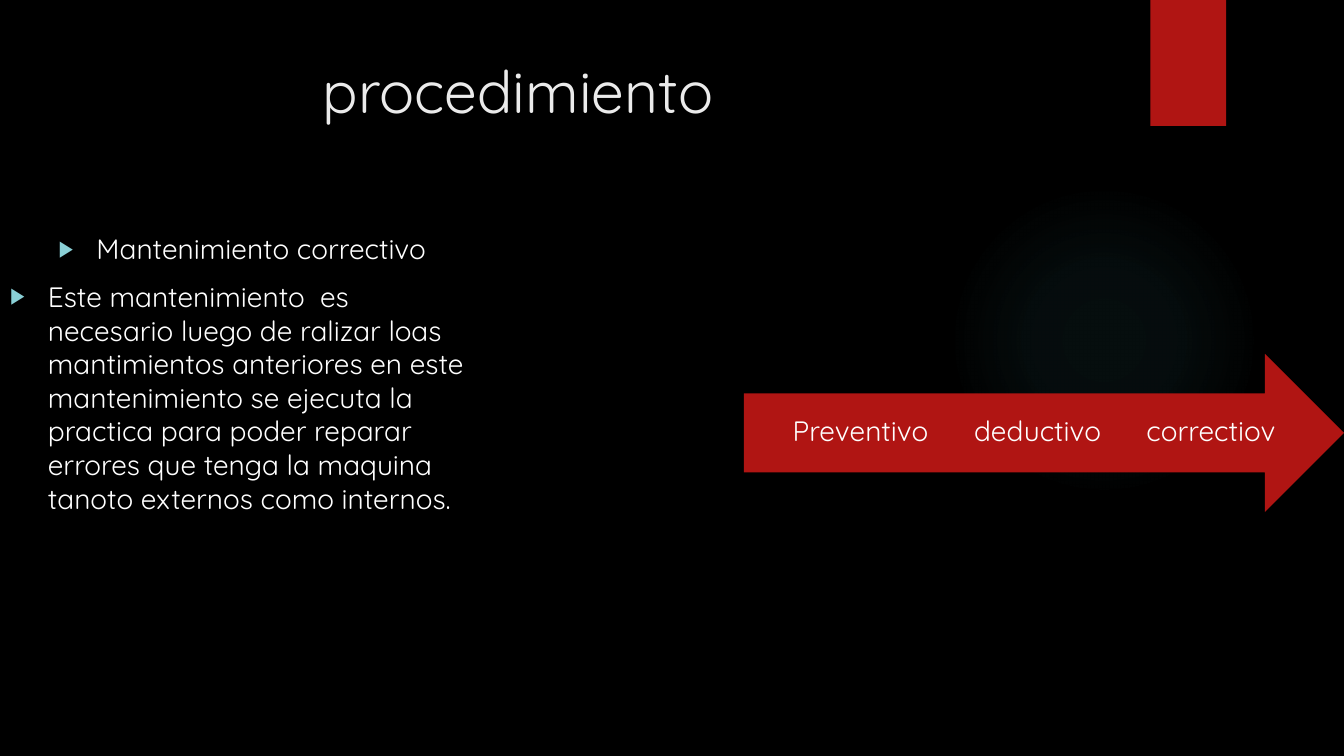
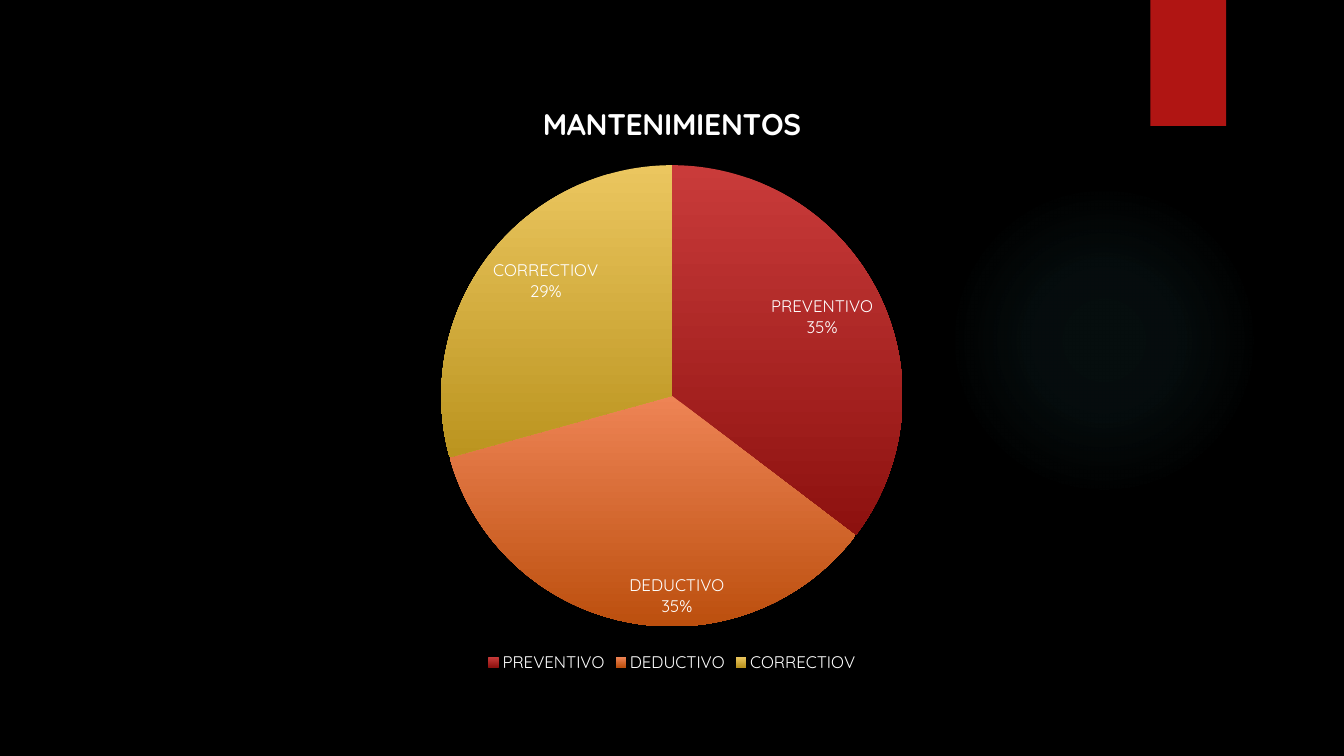
import collections

import pptx
import pptx.chart.data
import pptx.dml.color
import pptx.enum.chart
import pptx.enum.shapes
import pptx.enum.text
import pptx.oxml
import pptx.oxml.ns
import pptx.util

Pt = pptx.util.Pt
ALIGN = pptx.enum.text.PP_ALIGN
ANCHOR = pptx.enum.text.MSO_ANCHOR
SHAPE = pptx.enum.shapes.MSO_SHAPE
Box = collections.namedtuple("Box", "left top width height")

FONT = "Quicksand"
COLORS = {
    "background": "000000",
    "ribbon": "B01513",
    "glow": "50B9C1",
    "bullet": "8AD0D6",
    "title": "EBEBEB",
    "text": "FFFFFF",
}
GLOW_STOPS = [(0, 7), (36, 6), (69, 0)]
SLICES = [
    ("PREVENTIVO", 35, "C93B3A", "8D110F"),
    ("DEDUCTIVO", 35, "EE8455", "BC4F0E"),
    ("CORRECTIOV", 29, "EBC65F", "BB941F"),
]


def rgb(value):
    return pptx.dml.color.RGBColor.from_string(value)


def place(item, box):
    item.left, item.top, item.width, item.height = (Pt(length) for length in box)


def style_font(font, size, color="text", bold=False):
    font.name = FONT
    font.size = Pt(size)
    font.bold = bold
    font.color.rgb = rgb(COLORS[color])


def add_plain_shape(page, kind, box):
    shape = page.shapes.add_shape(kind, *(Pt(length) for length in box))
    shape.shadow.inherit = False
    shape.line.fill.background()
    shape.fill.solid()
    shape.fill.fore_color.rgb = rgb(COLORS["ribbon"])
    return shape


def add_glow(page, box):
    glow = add_plain_shape(page, SHAPE.OVAL, box)
    stops = "".join(
        f'<a:gs pos="{position * 1000}"><a:srgbClr val="{COLORS["glow"]}">'
        f'<a:alpha val="{opacity * 1000}"/></a:srgbClr></a:gs>'
        for position, opacity in GLOW_STOPS
    )
    gradient = pptx.oxml.parse_xml(
        f'<a:gradFill {pptx.oxml.ns.nsdecls("a")}><a:gsLst>{stops}</a:gsLst>'
        '<a:path path="circle"><a:fillToRect l="50000" t="50000" r="50000" b="50000"/>'
        "</a:path></a:gradFill>"
    )
    properties = glow._element.spPr
    properties.replace(properties.find(pptx.oxml.ns.qn("a:solidFill")), gradient)


def add_page(deck, layout_index):
    page = deck.slides.add_slide(deck.slide_layouts[layout_index])
    add_glow(page, Box(677.5, 131.8, 221.8, 221.8))
    add_plain_shape(page, SHAPE.RECTANGLE, Box(821.8, 0, 54, 90))
    return page


def fill_title(page, box, text):
    title = page.shapes.title
    place(title, box)
    frame = title.text_frame
    frame.text = text
    frame.vertical_anchor = ANCHOR.TOP
    frame.auto_size = pptx.enum.text.MSO_AUTO_SIZE.NONE
    para = frame.paragraphs[0]
    para.alignment = ALIGN.CENTER
    style_font(para.font, 42, "title")


def add_bullet(para):
    properties = para._p.get_or_add_pPr()
    properties.set("marL", str(Pt(27)))
    properties.set("indent", str(-Pt(27)))
    for tag, value in (
        ("buClr", f'><a:srgbClr val="{COLORS["bullet"]}"/></a:buClr>'),
        ("buSzPct", ' val="80000"/>'),
        ("buChar", ' char="▶"/>'),
    ):
        properties.append(
            pptx.oxml.parse_xml(f'<a:{tag} {pptx.oxml.ns.nsdecls("a")}{value}')
        )


def fill_list(page, box, entries):
    body = page.placeholders[1]
    place(body, box)
    frame = body.text_frame
    frame.text = "\n".join(text for text, _ in entries)
    frame.auto_size = pptx.enum.text.MSO_AUTO_SIZE.NONE
    for para, (_, alignment) in zip(frame.paragraphs, entries):
        add_bullet(para)
        para.alignment = alignment
        para.space_before = Pt(10)
        para.line_spacing = Pt(24)
        style_font(para.font, 20)


def add_process_arrow(page, box, steps):
    add_plain_shape(page, SHAPE.RIGHT_ARROW, box)
    label_width, pitch = 103, 123.8
    for index, step in enumerate(steps):
        label = page.shapes.add_textbox(
            Pt(box.left + 34.5 + index * pitch),
            Pt(box.top + box.height / 4),
            Pt(label_width),
            Pt(box.height / 2),
        )
        frame = label.text_frame
        frame.word_wrap = True
        frame.vertical_anchor = ANCHOR.MIDDLE
        frame.margin_left = frame.margin_right = 0
        frame.margin_top = frame.margin_bottom = Pt(16)
        frame.text = step
        para = frame.paragraphs[0]
        para.alignment = ALIGN.CENTER
        para.line_spacing = 0.9
        style_font(para.font, 20)


def style_labels(labels):
    labels.show_value = False
    labels.show_category_name = True
    labels.show_percentage = True
    labels.number_format = "0%"
    labels.number_format_is_linked = False
    labels.position = pptx.enum.chart.XL_LABEL_POSITION.INSIDE_END
    style_font(labels.font, 12)
    separator = pptx.oxml.parse_xml(
        f'<c:separator {pptx.oxml.ns.nsdecls("c")}>\n</c:separator>'
    )
    labels._element.find(pptx.oxml.ns.qn("c:showBubbleSize")).addnext(separator)


def add_pie(page, box, title, slices):
    data = pptx.chart.data.CategoryChartData()
    data.categories = [name for name, *_ in slices]
    data.add_series(title, [value for _, value, *_ in slices])
    chart = page.shapes.add_chart(
        pptx.enum.chart.XL_CHART_TYPE.PIE, *(Pt(length) for length in box), data
    ).chart
    style_font(chart.font, 10)

    chart.has_title = True
    heading = chart.chart_title.text_frame
    heading.text = title
    style_font(heading.paragraphs[0].font, 21.3, bold=True)
    chart.chart_title.include_in_layout = False

    chart.has_legend = True
    chart.legend.position = pptx.enum.chart.XL_LEGEND_POSITION.BOTTOM
    chart.legend.include_in_layout = False
    style_font(chart.legend.font, 12)

    plot = chart.plots[0]
    plot.vary_by_categories = True
    series = plot.series[0]
    for index, (_, _, *shades) in enumerate(slices):
        look = series.points[index].format
        look.line.fill.background()
        look.fill.gradient()
        look.fill.gradient_angle = 270
        for stop, shade in zip(look.fill.gradient_stops, shades):
            stop.color.rgb = rgb(shade)
    style_labels(series.data_labels)


def build_procedure(deck):
    page = add_page(deck, 1)
    fill_title(page, Box(0, 35.3, 740, 110), "procedimiento")
    fill_list(
        page,
        Box(0, 162, 346.3, 330.5),
        [
            ("Mantenimiento correctivo", ALIGN.CENTER),
            (
                "Este mantenimiento  es necesario luego de ralizar loas "
                "mantimientos anteriores en este mantenimiento se ejecuta la "
                "practica para poder reparar errores que tenga la maquina "
                "tanoto externos como internos.",
                ALIGN.LEFT,
            ),
        ],
    )
    add_process_arrow(
        page,
        Box(531.4, 252.7, 428.6, 113),
        ["Preventivo ", "deductivo", "correctiov"],
    )


def build_chart(deck):
    page = add_page(deck, 6)
    add_pie(page, Box(160, 56.7, 640, 426.7), "MANTENIMIENTOS", SLICES)


def main():
    deck = pptx.Presentation()
    deck.slide_width, deck.slide_height = Pt(960), Pt(540)
    backdrop = deck.slide_master.background.fill
    backdrop.solid()
    backdrop.fore_color.rgb = rgb(COLORS["background"])
    build_procedure(deck)
    build_chart(deck)
    deck.save("out.pptx")


if __name__ == "__main__":
    main()
